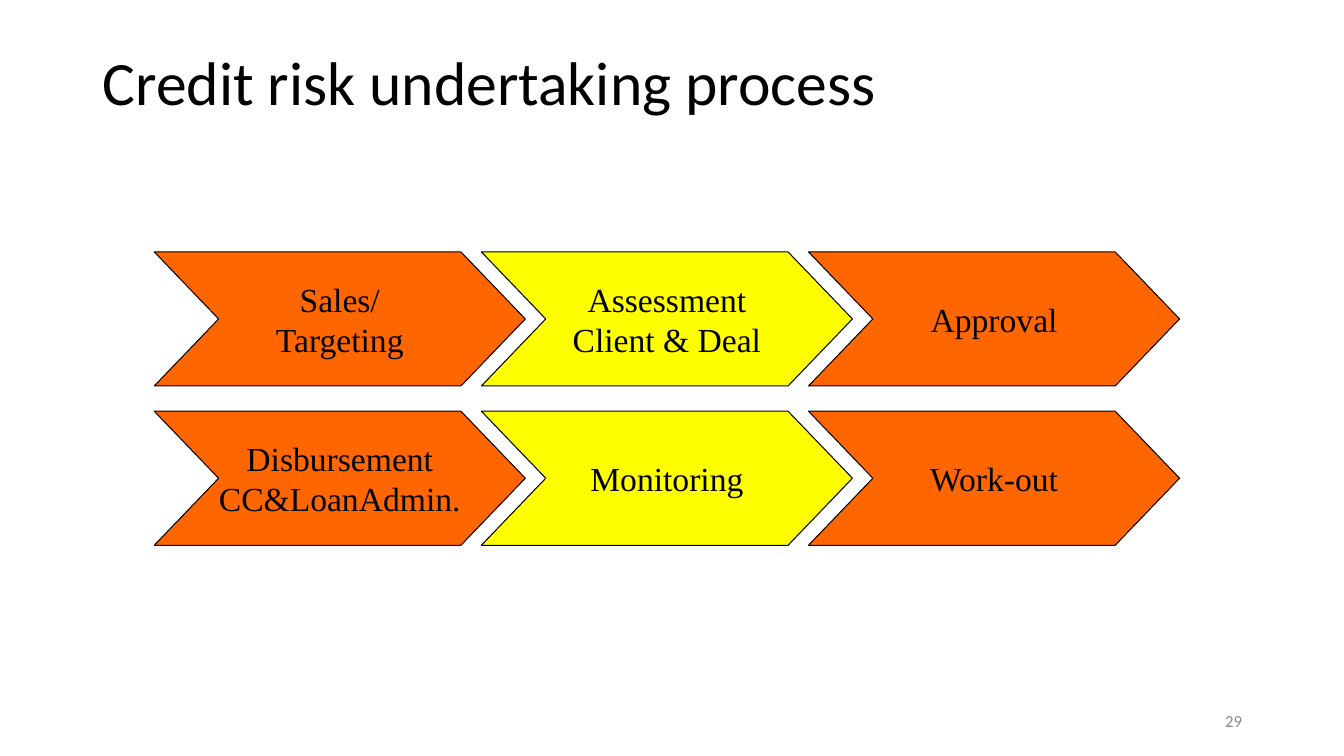
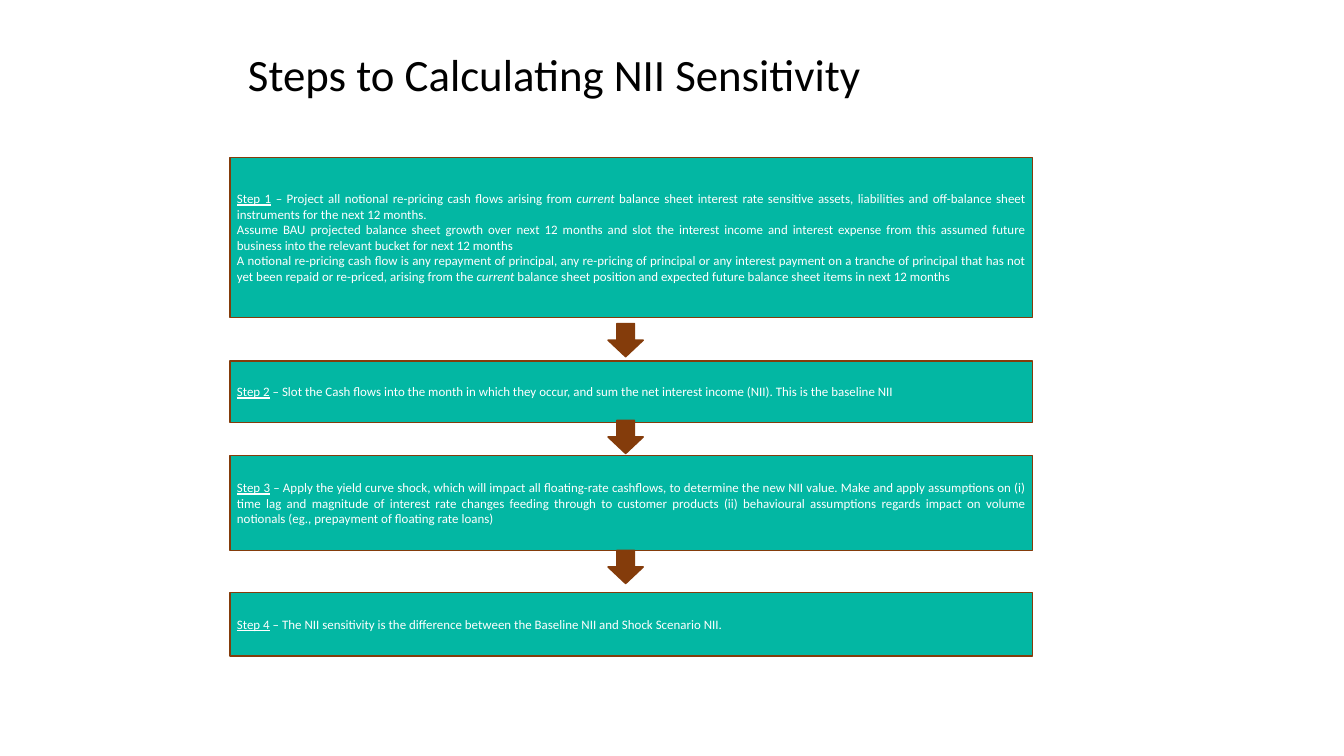
"""Build two slides on the credit risk process and NII sensitivity."""
from pptx import Presentation
from pptx.dml.color import RGBColor
from pptx.enum.shapes import MSO_SHAPE as Shape
from pptx.enum.text import MSO_ANCHOR as Anchor, MSO_AUTO_SIZE as AutoSize, PP_ALIGN as Align
from pptx.util import Inches, Pt

SLIDE_WIDTH, SLIDE_HEIGHT = Inches(13.33), Inches(7.5)
COLORS = {
    "black": "000000",
    "white": "FFFFFF",
    "gray": "898989",
    "orange": "FF6600",
    "yellow": "FFFF00",
    "teal": "03B7A3",
    "brown": "843C0B",
}
STAGES = [
    ["Sales/\nTargeting", "Assessment\nClient & Deal", "Approval"],
    ["Disbursement\nCC&LoanAdmin.", "Monitoring", "Work-out"],
]
STAGE_COLORS = ["orange", "yellow", "orange"]
STEPS = [
    (20.8, 21.2,
     " – Project all notional re-pricing cash flows arising from *current *balance sheet interest "
     "rate sensitive assets, liabilities and off-balance sheet instruments for the next 12 months.\n"
     "Assume BAU projected balance sheet growth over next 12 months and slot the interest income "
     "and interest expense from this assumed future business into the relevant bucket for next "
     "12 months\n"
     "A notional re-pricing cash flow is any repayment of principal, any re-pricing of principal "
     "or any interest payment on a tranche of principal that has not yet been repaid or re-priced, "
     "arising from the *current *balance sheet position and expected future balance sheet items "
     "in next 12 months"),
    (47.73, 8.13,
     " – Slot the Cash flows into the month in which they occur, and sum the net interest income "
     "(NII). This is the baseline NII"),
    (60.27, 12.53,
     " – Apply the yield curve shock, which will impact all floating-rate cashflows, to determine "
     "the new NII value. Make and apply assumptions on (i) time lag and magnitude of interest rate "
     "changes feeding through to customer products (ii) behavioural assumptions regards impact on "
     "volume notionals (eg., prepayment of floating rate loans)"),
    (78.4, 8.4,
     " – The NII sensitivity is the difference between the Baseline NII and Shock Scenario NII."),
]
ARROW_TOPS = [42.8, 55.6, 72.8]


def color(name):
    """Return the named palette colour."""
    return RGBColor.from_string(COLORS[name])


def place(left, top, width, height):
    """Turn percentages of the slide's size into a position and size."""
    return [round(share * side / 100) for share, side in
            zip((left, top, width, height), (SLIDE_WIDTH, SLIDE_HEIGHT) * 2)]


def write(shape, text, size, fill="black", font="Calibri", align=Align.LEFT,
          spacing=1.0, wrap=True, margins=None, label=""):
    """Write paragraphs after an underlined label, with *marked* words in italics."""
    frame = shape.text_frame
    frame.auto_size = AutoSize.NONE
    frame.word_wrap = wrap
    frame.vertical_anchor = Anchor.MIDDLE
    if margins:
        frame.margin_left = frame.margin_right = Inches(margins[0])
        frame.margin_top = frame.margin_bottom = Inches(margins[1])
    for row, line in enumerate(text.split("\n")):
        paragraph = frame.add_paragraph() if row else frame.paragraphs[0]
        paragraph.alignment = align
        paragraph.line_spacing = spacing
        pieces = [(piece, False, index % 2 == 1) for index, piece in enumerate(line.split("*"))]
        if label and row == 0:
            pieces.insert(0, (label, True, False))
        for piece, underline, italic in pieces:
            run = paragraph.add_run()
            run.text = piece
            run.font.name = font
            run.font.size = Pt(size)
            run.font.color.rgb = color(fill)
            run.font.underline = underline
            run.font.italic = italic


def add_titled_slide(presentation, title, box, size):
    """Add a title-only slide and format its title."""
    slide = presentation.slides.add_slide(presentation.slide_layouts[5])
    placeholder = slide.shapes.title
    placeholder.left, placeholder.top, placeholder.width, placeholder.height = place(*box)
    write(placeholder, title, size, spacing=0.9)
    return slide


def add_block(slide, kind, box, fill, line, line_width):
    """Add a filled and outlined preset shape."""
    shape = slide.shapes.add_shape(kind, *place(*box))
    shape.shadow.inherit = False
    shape.fill.solid()
    shape.fill.fore_color.rgb = color(fill)
    shape.line.color.rgb = color(line)
    shape.line.width = Pt(line_width)
    return shape


def add_process_slide(presentation):
    """Show the credit process as two rows of chevrons."""
    slide = add_titled_slide(presentation, "Credit risk undertaking process",
                             (6.9, 5.33, 86.27, 11.87), 44)
    for row, stages in enumerate(STAGES):
        for column, (stage, fill) in enumerate(zip(stages, STAGE_COLORS)):
            box = (11.48 + column * 24.34, 33.33 + row * 21.07, 27.61, 17.73)
            chevron = add_block(slide, Shape.CHEVRON, box, fill, "black", 0.75)
            chevron.adjustments[0] = 0.48
            write(chevron, stage, 24, font="Times New Roman", align=Align.CENTER, wrap=False)
    page_number = slide.shapes.add_textbox(*place(70.67, 92.67, 22.5, 5.33))
    write(page_number, "29", 12, fill="gray", align=Align.RIGHT)


def add_steps_slide(presentation):
    """Show the calculation as boxes joined by block arrows."""
    slide = add_titled_slide(presentation, "Steps to Calculating NII Sensitivity",
                             (17.7, 6.67, 60.24, 6.93), 32)
    for number, (top, height, text) in enumerate(STEPS, start=1):
        step = add_block(slide, Shape.RECTANGLE, (17.1, top, 59.71, height), "teal", "brown", 1)
        write(step, text, 9.2, fill="white", align=Align.JUSTIFY,
              margins=(0.07, 0.03), label=f"Step {number}")
    for top in ARROW_TOPS:
        add_block(slide, Shape.DOWN_ARROW, (45.24, top, 2.63, 4.4), "brown", "brown", 1)


def main():
    """Build and save the presentation."""
    presentation = Presentation()
    presentation.slide_width, presentation.slide_height = SLIDE_WIDTH, SLIDE_HEIGHT
    add_process_slide(presentation)
    add_steps_slide(presentation)
    presentation.save("out.pptx")


if __name__ == "__main__":
    main()
